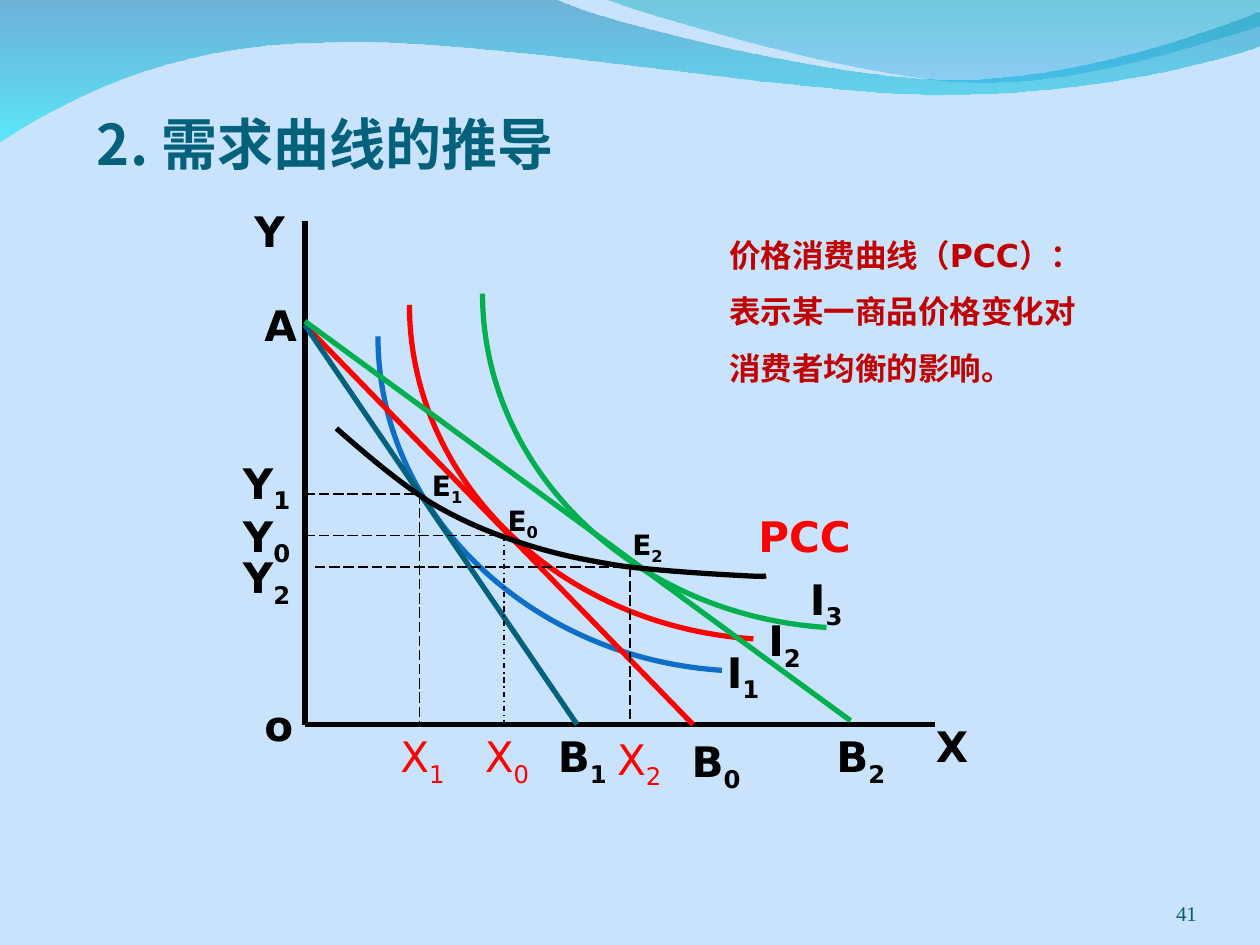
import pptx
import pptx.dml.color
import pptx.enum.dml
import pptx.enum.shapes
import pptx.enum.text
import pptx.oxml
import pptx.oxml.ns
import pptx.util

RGB = pptx.dml.color.RGBColor
DASH = pptx.enum.dml.MSO_LINE
ALIGN = pptx.enum.text.PP_ALIGN
ANCHOR = pptx.enum.text.MSO_ANCHOR
qn = pptx.oxml.ns.qn

PX = 9144  # EMU per px, 100 px to the inch
SKY = RGB(0xC8, 0xE3, 0xFB)
BLACK = RGB(0, 0, 0)
RED = RGB(0xFF, 0, 0)
DARK_RED = RGB(0xC0, 0, 0)
BLUE = RGB(0x0F, 0x6F, 0xC6)
GREEN = RGB(0, 0xB0, 0x50)
TEAL = RGB(0x04, 0x61, 0x7B)
PAGE_TEAL = RGB(0x04, 0x5C, 0x75)
WAVE_DEEP = RGB(0, 0x79, 0xAF)
WAVE_CYAN = RGB(0, 0xEB, 0xF8)
WAVE_GREEN = RGB(0, 0xAD, 0xB6)
WAVE_BLUE = RGB(0, 0x9B, 0xE5)


def element(tag, attributes=""):
    return pptx.oxml.parse_xml("<a:%s %s %s/>" % (
        tag, pptx.oxml.ns.nsdecls("a"), attributes))


class Canvas:
    font = "DejaVu Sans"

    def __init__(self, slide):
        self.s = slide

    def text(self, x, y, w, h, text, size, color, sub="", bold=True, font=None,
             inset=(10, 5, 10, 5), anchor=ANCHOR.TOP, align=ALIGN.LEFT, spacing=None):
        sp = self.s.shapes.add_textbox(x * PX, y * PX, w * PX, h * PX)
        tf = sp.text_frame
        tf.word_wrap = True
        tf.vertical_anchor = anchor
        tf.margin_left, tf.margin_top, tf.margin_right, tf.margin_bottom = (
            n * PX for n in inset)
        p = tf.paragraphs[0]
        p._p.get_or_add_pPr().set("hangingPunct", "0")
        p.alignment = align
        p.line_spacing = spacing
        p.font.name = font or self.font
        p.font.size = pptx.util.Pt(size)
        p.font.bold = bold
        p.font.color.rgb = color
        p.add_run().text = text
        if sub:
            r = p.add_run()
            r.text = sub
            r._r.get_or_add_rPr().set("baseline", "-25000")

    def line(self, x1, y1, x2, y2, color=BLACK, width=3, dash=None):
        c = self.s.shapes.add_connector(
            pptx.enum.shapes.MSO_CONNECTOR.STRAIGHT,
            x1 * PX, y1 * PX, x2 * PX, y2 * PX)
        c.line.color.rgb = color
        c.line.width = pptx.util.Pt(width)
        if dash:
            c.line.dash_style = dash
        c._element.spPr.append(element("effectLst"))

    def outline(self, start, segments, close):
        """Segments of one point are lines, those of three are cubic curves."""
        fb = self.s.shapes.build_freeform(*start, scale=float(PX))
        fb.add_line_segments([pt for seg in segments for pt in seg], close=close)
        sp = fb.convert_to_shape()
        sp.shadow.inherit = False
        sides = iter(list(sp._element.iter(qn("a:lnTo"))))
        for seg in segments:
            parts = [next(sides) for _ in seg]
            if len(parts) == 3:
                cubic = element("cubicBezTo")
                parts[0].addprevious(cubic)
                for part in parts:
                    cubic.append(part[0])
                    part.getparent().remove(part)
        return sp

    def curve(self, start, segments, color):
        sp = self.outline(start, segments, False)
        sp.fill.background()
        sp.line.color.rgb = color
        sp.line.width = pptx.util.Pt(3)

    def wave(self, start, segments, stops):
        sp = self.outline(start, segments, True)
        sp.line.fill.background()
        sp.fill.gradient()
        sp.fill.gradient_angle = 270
        for stop, (color, opacity) in zip(sp.fill.gradient_stops, stops):
            stop.color.rgb = color
        colors = sp._element.spPr.iter(qn("a:srgbClr"))
        for clr, (color, opacity) in zip(colors, stops):
            clr.append(element("alpha", 'val="%d"' % (opacity * 1000)))


def main():
    prs = pptx.Presentation()
    prs.slide_width, prs.slide_height = 1000 * PX, 750 * PX
    s = prs.slides.add_slide(prs.slide_layouts[6])
    s.background.fill.solid()
    s.background.fill.fore_color.rgb = SKY
    c = Canvas(s)

    # Waves along the top
    c.wave((0, -1), [
        [(440, -1)],
        [(476, 17), (664, 63), (758, 63)], [(853, 63), (958, 26), (1000, 9)],
        [(1001, 36)],
        [(983, 44), (870, 76), (746, 75)], [(622, 75), (382, 28), (257, 34)],
        [(129, 35), (46, 83), (-1, 113)],
    ], [(WAVE_DEEP, 45), (WAVE_CYAN, 55)])
    c.wave((479, -1), [
        [(509, 11), (682, 62), (769, 65)], [(856, 69), (961, 32), (1000, 21)],
        [(1000, 0)],
    ], [(WAVE_GREEN, 45), (WAVE_BLUE, 30)])

    # Title
    c.text(77, 57, 850, 83, "2. 需求曲线的推导", 32, TEAL, font="Noto Sans CJK SC",
           inset=(0, 5, 0, 0), anchor=ANCHOR.BOTTOM)

    # Axes
    left, base = 242, 575
    c.line(left, 175, left, base)
    c.line(left, base, 742, base)

    # Indifference curves: one shape, shifted
    for x, y, color in ((325, 242, RED), (300, 267, BLUE), (383, 233, GREEN)):
        c.curve((x + 273, y + 265),
                [[(x + 119, y + 255), (x, y + 139), (x, y)]], color)

    # Budget lines from A
    c.line(left, 258, 550, base, RED)
    c.line(left, 258, 458, base, TEAL)
    c.line(left, 255, 675, 572, GREEN)

    # Guides from each equilibrium to the axes
    for x, y, start, drop in ((400, 425, left, DASH.DASH_DOT),
                              (333, 392, left, DASH.LONG_DASH),
                              (500, 450, 250, DASH.LONG_DASH)):
        c.line(start, y, x, y, width=0.75, dash=DASH.LONG_DASH)
        c.line(x, y, x, base, width=0.75, dash=drop)

    # Price-consumption curve
    c.curve((267, 340), [
        [(292, 362), (317, 383), (342, 399)], [(367, 414), (392, 424), (417, 432)],
        [(442, 440), (462, 444), (492, 449)], [(521, 453), (572, 456), (592, 457)],
        [(611, 458), (606, 457), (608, 457)],
    ], BLACK)

    # Plain labels
    for x, y, name in ((200, 550, "o"), (200, 233, "A"),
                       (733, 567, "X"), (192, 158, "Y")):
        c.text(x, y, 92, 50, name, 24, BLACK)
    c.text(592, 400, 142, 50, "PCC", 24, RED)

    # Labels with subscripts
    for x, y, w, name, sub in (
            (567, 508, 100, "I", "1"), (600, 483, 100, "I", "2"),
            (633, 450, 100, "I", "3"),
            (539, 579, 70, "B", "0"), (433, 575, 64, "B", "1"),
            (654, 575, 68, "B", "2"),
            (183, 400, 92, "Y", "0"), (183, 358, 92, "Y", "1"),
            (183, 433, 92, "Y", "2")):
        c.text(x, y, w, 56, name, 24, BLACK, sub)
    for x, y, sub in ((308, 575, "1"), (375, 575, "0"), (480, 577, "2")):
        c.text(x, y, 64, 56, "X", 24, RED, sub, bold=False)
    for x, y, w, sub in ((393, 395, 67, "0"), (333, 367, 67, "1"), (492, 414, 92, "2")):
        c.text(x, y, w, 41, "E", 16, BLACK, sub)

    # Explanation and page number
    c.text(569, 167, 307, 145, "价格消费曲线（PCC）：表示某一商品价格变化对消费者均衡的影响。",
           18, DARK_RED, spacing=1.5)
    c.text(867, 695, 83, 40, "41", 12, PAGE_TEAL, bold=False, font="Times New Roman",
           inset=(0, 0, 0, 0), anchor=ANCHOR.BOTTOM, align=ALIGN.RIGHT)

    prs.save("out.pptx")


if __name__ == "__main__":
    main()
